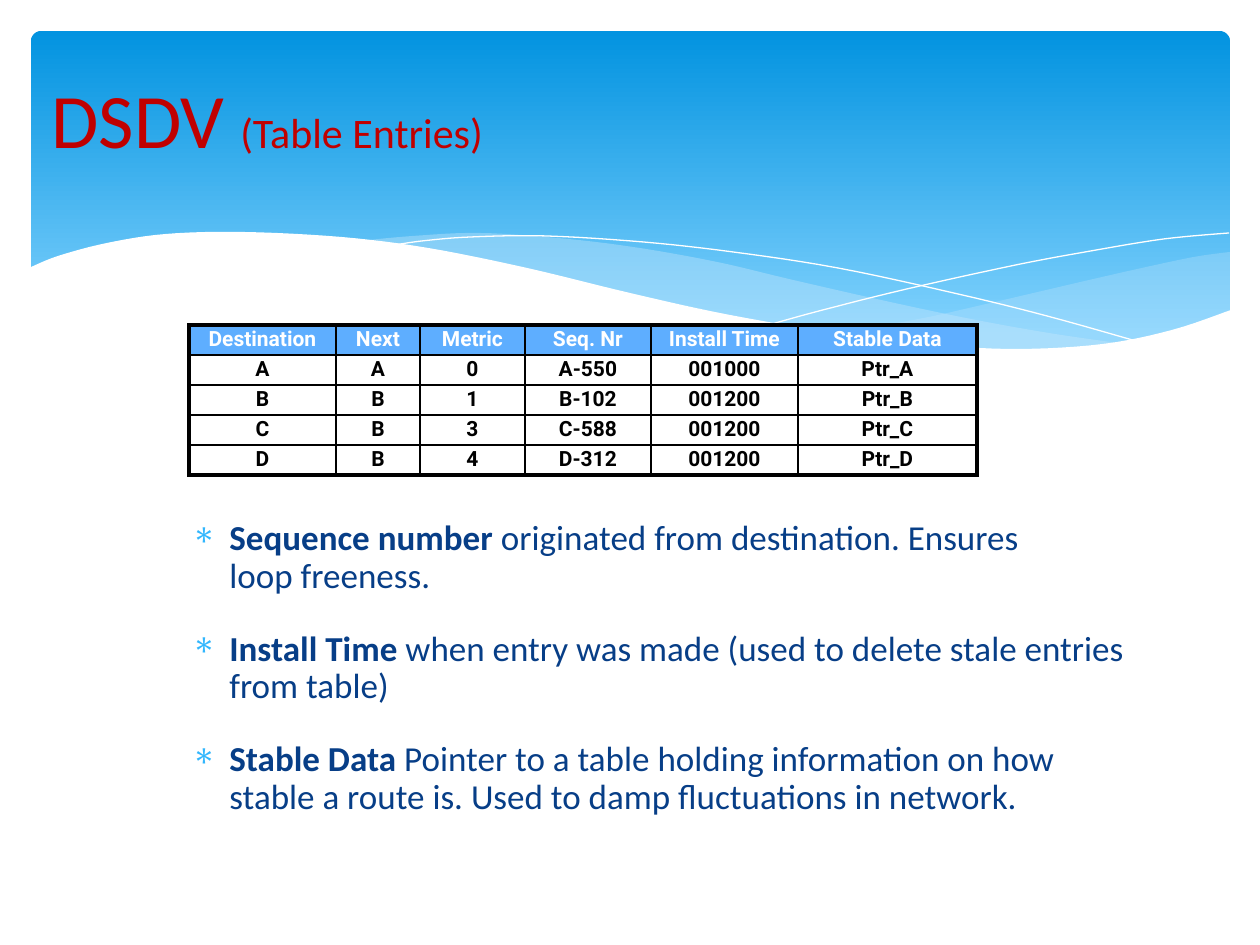
from lxml.etree import SubElement as Sub
from pptx import Presentation
from pptx.dml.color import RGBColor
from pptx.enum.shapes import MSO_SHAPE as Shape
from pptx.enum.text import MSO_ANCHOR as Anchor, PP_ALIGN as Align
from pptx.oxml.ns import qn
from pptx.util import Emu, Pt

RED, NAVY, SKY = "C00000", "073E87", "31B6FD"
WHITE, BLACK, HEAD, PALE = "FFFFFF", "000000", "5EAEFF", "C6E7FC"


def px(n):
    return Emu(round(n * 914400 / 126))


def tint(code):
    return RGBColor.from_string(code)


def curve(*knots, steps=6):
    ends = [knots[0], *knots, knots[-1]]
    dots = [knots[0]]
    for a, b, c, d in zip(ends, ends[1:], ends[2:], ends[3:]):
        for k in range(1, steps + 1):
            t = k / steps
            dots.append(tuple(
                q + t / 2 * (r - p + t * (2 * p - 5 * q + 4 * r - s
                                          + t * (3 * q - p - 3 * r + s)))
                for p, q, r, s in zip(a, b, c, d)))
    return dots


class Deck:
    font = "Calibri"
    cell_font = "Roboto"

    def __init__(self, wide, high):
        self.prs = Presentation()
        self.prs.slide_width, self.prs.slide_height = px(wide), px(high)
        self.slide = self.prs.slides.add_slide(self.prs.slide_layouts[6])
        self.shapes = self.slide.shapes

    def panel(self, x, y, w, h, top, low):
        box = self.shapes.add_shape(Shape.ROUNDED_RECTANGLE, px(x), px(y), px(w), px(h))
        box.adjustments[0] = 0.03
        box.shadow.inherit = False
        box.line.fill.background()
        box.fill.gradient()
        box.fill.gradient_angle = 270
        for stop, code, place in zip(box.fill.gradient_stops, (top, low), (0, 0.9)):
            stop.color.rgb = tint(code)
            stop.position = place

    def free(self, dots, shut):
        spots = [(px(x), px(y)) for x, y in dots]
        pen = self.shapes.build_freeform(*spots[0], scale=1.0)
        pen.add_line_segments(spots[1:], close=shut)
        form = pen.convert_to_shape()
        form.shadow.inherit = False
        return form

    def wave(self, dots, code, alpha=100):
        form = self.free(dots, True)
        form.line.fill.background()
        form.fill.solid()
        form.fill.fore_color.rgb = tint(code)
        if alpha < 100:
            clr = form._element.spPr.find(qn("a:solidFill"))[0]
            Sub(clr, qn("a:alpha"), val=str(alpha * 1000))

    def thread(self, dots, code):
        form = self.free(dots, False)
        form.fill.background()
        form.line.color.rgb = tint(code)
        form.line.width = Pt(0)

    def run(self, para, text, size, code, bold=False, font=None):
        for i, part in enumerate(text.split("\n")):
            if i:
                para.add_line_break()
            run = para.add_run()
            run.text = part
            run.font.name = font or self.font
            run.font.size, run.font.bold = Pt(size), bold
            run.font.color.rgb = tint(code)

    def frame(self, x, y, w, h, anchor=Anchor.TOP):
        frame = self.shapes.add_textbox(px(x), px(y), px(w), px(h)).text_frame
        frame.word_wrap = True
        frame.vertical_anchor = anchor
        return frame

    def title(self, x, y, w, h, parts):
        para = self.frame(x, y, w, h, Anchor.MIDDLE).paragraphs[0]
        for text, size in parts:
            self.run(para, text, size, RED)

    def bullets(self, x, y, w, h, items, size=20, indent=38):
        frame = self.frame(x, y, w, h)
        for i, (term, text) in enumerate(items):
            para = frame.add_paragraph() if i else frame.paragraphs[0]
            props = para._p.get_or_add_pPr()
            props.set("marL", str(px(indent)))
            props.set("indent", str(-px(indent)))
            Sub(Sub(props, qn("a:buClr")), qn("a:srgbClr"), val=SKY)
            Sub(props, qn("a:buChar"), char="∗")
            para.line_spacing = 0.9
            para.space_before = Pt(size if i else 0)
            self.run(para, term, size, NAVY, True)
            self.run(para, text, size, NAVY)

    def edge(self, cell, side, width):
        line = Sub(cell._tc.get_or_add_tcPr(), qn("a:ln" + side), w=str(Pt(width)))
        Sub(Sub(line, qn("a:solidFill")), qn("a:srgbClr"), val=BLACK)

    def table(self, x, y, cols, high, rows, thick=2.25, thin=1):
        count, last = len(rows), len(cols) - 1
        grid = self.shapes.add_table(count, len(cols), px(x), px(y),
                                     px(sum(cols)), px(high * count)).table
        grid.horz_banding = grid.first_row = False
        for col, wide in zip(grid.columns, cols):
            col.width = px(wide)
        for r, row in enumerate(rows):
            grid.rows[r].height = px(high)
            for c, text in enumerate(row):
                cell = grid.cell(r, c)
                cell.margin_left = cell.margin_right = px(2)
                cell.margin_top = cell.margin_bottom = px(2)
                outer = {"L": c == 0, "R": c == last, "T": r == 0, "B": r == count - 1}
                for side, rim in outer.items():
                    self.edge(cell, side, thick if rim else thin)
                if r:
                    cell.fill.background()
                else:
                    cell.fill.solid()
                    cell.fill.fore_color.rgb = tint(HEAD)
                para = cell.text_frame.paragraphs[0]
                para.alignment = Align.CENTER
                self.run(para, text, 12, BLACK if r else WHITE, True, self.cell_font)

    def save(self):
        self.prs.save("out.pptx")


def main():
    deck = Deck(1260, 945)
    deck.panel(31, 31, 1199, 340, "0293E0", "83D3FE")
    deck.wave(
        curve((1230, 252), (1194, 257), (1142, 268), (1085, 281), (982, 305),
              (919, 319), (833, 334))
        + curve((833, 334), (906, 343), (970, 348), (1026, 350), (1077, 348),
                (1130, 342), (1178, 331), (1230, 311)), PALE, 29)
    deck.wave(
        curve((360, 241), (413, 236), (479, 233), (557, 238), (633, 247), (717, 262),
              (793, 280), (890, 302), (976, 320), (1055, 334), (1125, 344))
        + curve((1125, 344), (1080, 349), (1017, 350), (942, 348), (857, 338),
                (757, 321), (668, 302), (566, 280), (483, 261), (407, 247),
                (360, 241)), PALE, 40)
    deck.thread(curve((389, 246), (422, 241), (471, 237), (546, 236), (643, 242),
                      (733, 252), (838, 268), (958, 294), (1047, 316), (1143, 343)), WHITE)
    deck.thread(curve((772, 324), (823, 310), (907, 289), (1016, 265), (1091, 251),
                      (1164, 239), (1229, 233)), WHITE)
    deck.wave(
        curve((29, 268), (58, 256), (107, 243), (166, 234), (243, 232), (341, 237),
              (428, 248), (527, 268), (634, 294), (730, 315), (842, 334), (937, 345),
              (1019, 349), (1103, 344), (1172, 330), (1231, 310))
        + [(1231, 415), (29, 415)], WHITE)

    deck.title(39, 49, 1168, 137, [("DSDV", 44), (" ", 40), ("(Table Entries)", 24)])
    deck.bullets(179, 514, 976, 368, [
        ("Sequence number", " originated from destination. Ensures\nloop freeness."),
        ("Install Time", " when entry was made (used to delete stale entries from table)"),
        ("Stable Data", " Pointer to a table holding information on how stable a route is."
                        " Used to damp fluctuations in network."),
    ])
    deck.table(189, 325, [147, 84, 105, 126, 147, 179], 30, [
        ("Destination", "Next", "Metric", "Seq. Nr", "Install Time", "Stable Data"),
        ("A", "A", "0", "A-550", "001000", "Ptr_A"),
        ("B", "B", "1", "B-102", "001200", "Ptr_B"),
        ("C", "B", "3", "C-588", "001200", "Ptr_C"),
        ("D", "B", "4", "D-312", "001200", "Ptr_D"),
    ])
    deck.save()


if __name__ == "__main__":
    main()
